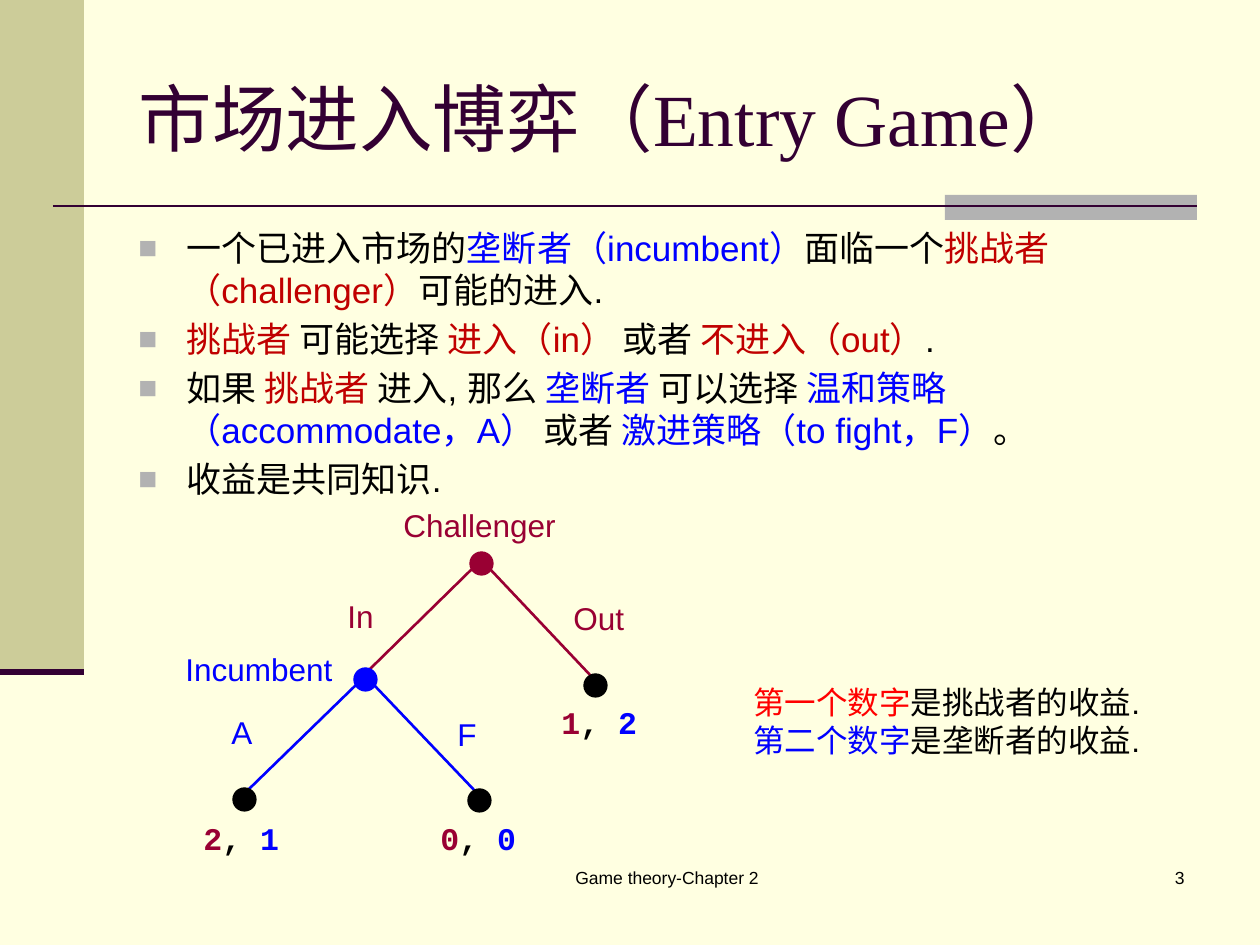
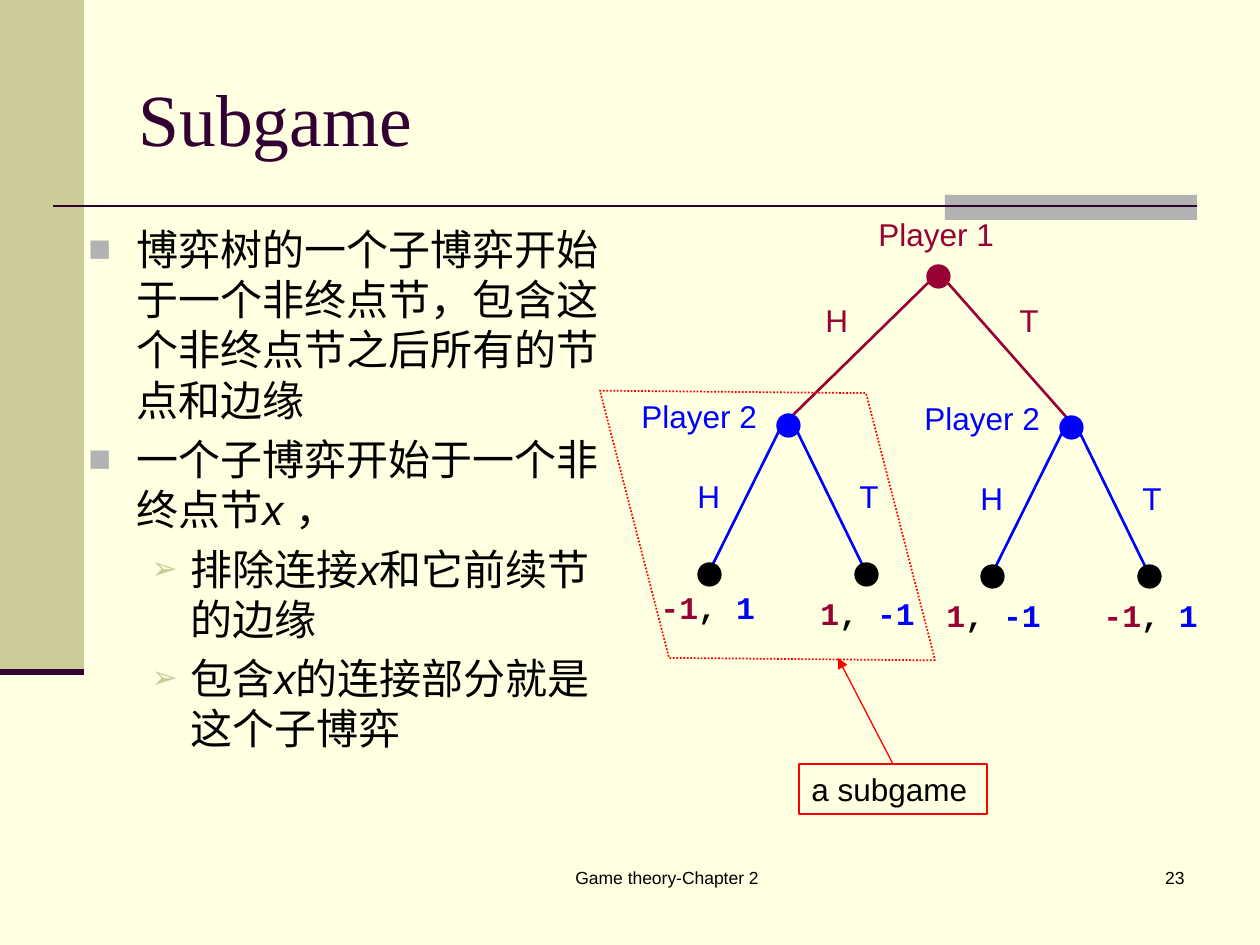
"""Build two slides on game trees: the entry game and the subgame."""
import pptx
import pptx.util
import pptx.dml.color
import pptx.enum.dml
import pptx.enum.shapes
import pptx.enum.text
import pptx.oxml.ns
from lxml import etree

SCALE = 914400 / 126
HUES = {
    "page": "FFFFE1", "sand": "CCCC99", "gray": "B2B2B2", "plum": "330033",
    "wine": "990033", "blue": "0000FF", "brick": "C00000", "red": "FF0000",
    "black": "000000",
}
BULLETS = [("■", "gray", 90, 48, 48), ("➢", "sand", 75, 102, 39)]
SHAPE = pptx.enum.shapes.MSO_SHAPE
ALIGN = pptx.enum.text.PP_ALIGN


def px(num):
    """Turn px into EMU."""
    return pptx.util.Emu(round(num * SCALE))


def hue(name):
    """Look up a colour by name."""
    return pptx.dml.color.RGBColor.from_string(HUES[name])


def tag(root, name, **attrs):
    """Append a drawing element with attributes."""
    return etree.SubElement(root, pptx.oxml.ns.qn("a:" + name), attrs)


def mark(para, level):
    """Give a paragraph the bullet of its level."""
    char, tone, size, left, hang = BULLETS[level]
    para.level = level
    props = para._p.get_or_add_pPr()
    props.set("marL", str(px(left)))
    props.set("indent", str(-px(hang)))
    tag(tag(props, "buClr"), "srgbClr", val=HUES[tone])
    tag(props, "buSzPct", val=str(size * 1000))
    tag(props, "buFont", typeface="Arial")
    tag(props, "buChar", char=char)


def fill_text(para, runs, size, font, bold):
    """Write runs of (text, colour, italic) into a paragraph."""
    for words, tone, *slant in runs:
        run = para.add_run()
        run.text = words
        run.font.size = pptx.util.Pt(size)
        run.font.name = font
        run.font.bold = bold
        run.font.italic = bool(slant)
        run.font.color.rgb = hue(tone)


def text(slide, at, paras, size=18, font="Arial", bold=False,
         align=ALIGN.LEFT, levels=None, gap=0):
    """Add a text box of paragraphs, with bullets if levels are given."""
    box = slide.shapes.add_textbox(*map(px, at))
    frame = box.text_frame
    frame.word_wrap = True
    for pos, runs in enumerate(paras):
        para = frame.add_paragraph() if pos else frame.paragraphs[0]
        if levels:
            mark(para, levels[pos])
        if pos:
            para.space_before = pptx.util.Pt(gap)
        para.alignment = align
        fill_text(para, runs, size, font, bold)
    return box


def label(slide, left, top, width, words, tone):
    """Add a one-line label."""
    return text(slide, (left, top, width, 50), [[(words, tone)]])


def pay(slide, left, top, first, second, width=122):
    """Add the payoffs of both players."""
    runs = [(first, "wine"), (", ", "black"), (second, "blue")]
    text(slide, (left, top, width, 50), [runs], font="Courier New", bold=True)


def solid(slide, kind, at, tone, edge=None):
    """Add a plain filled shape."""
    shape = slide.shapes.add_shape(kind, *map(px, at))
    shape.shadow.inherit = False
    shape.fill.solid()
    shape.fill.fore_color.rgb = hue(tone)
    if edge:
        shape.line.color.rgb = hue(tone)
        shape.line.width = pptx.util.Pt(edge)
    else:
        shape.line.fill.background()


def line(slide, start, end, tone, width=1.5):
    """Add a straight connector without a shadow."""
    kind = pptx.enum.shapes.MSO_CONNECTOR.STRAIGHT
    link = slide.shapes.add_connector(kind, *map(px, (*start, *end)))
    link.line.color.rgb = hue(tone)
    link.line.width = pptx.util.Pt(width)
    tag(link._element.spPr, "effectLst")
    return link


def dot(slide, spot, tone):
    """Add a tree node centred on a spot."""
    solid(slide, SHAPE.OVAL, (spot[0] - 11, spot[1] - 11, 23, 23), tone, 0.75)


def fork(slide, root, kids, tone):
    """Draw a node and its left and right branches."""
    for side, (x, y) in zip((-1, 1), kids):
        start = (root[0] + side * 9, root[1] + 6)
        line(slide, start, (x - side * 3, y - 8), tone)
    dot(slide, root, tone)


def page(deck, head, num):
    """Add a slide with its bands, title and footer."""
    slide = deck.slides.add_slide(deck.slide_layouts[5])
    solid(slide, SHAPE.RECTANGLE, (0, 0, 84, 672), "sand")
    solid(slide, SHAPE.RECTANGLE, (945, 195, 252, 25), "gray")
    line(slide, (53, 206), (1197, 206), "plum")
    line(slide, (0, 672), (84, 672), "plum", 3.5)
    text(slide, (462, 861, 410, 63), [[("Game theory-Chapter 2", "black")]],
         size=10, align=ALIGN.CENTER)
    text(slide, (935, 861, 262, 63), [[(str(num), "black")]],
         size=10, align=ALIGN.RIGHT)
    title = slide.shapes.title
    title.left, title.top, title.width, title.height = map(px, (126, 38, 1071, 158))
    frame = title.text_frame
    frame.auto_size = pptx.enum.text.MSO_AUTO_SIZE.NONE
    frame.vertical_anchor = pptx.enum.text.MSO_ANCHOR.MIDDLE
    frame.paragraphs[0].alignment = ALIGN.LEFT
    fill_text(frame.paragraphs[0], [(head, "plum")], 42, "Times New Roman", False)
    return slide


def entry(deck):
    """Build the entry game slide."""
    slide = page(deck, "市场进入博弈（Entry Game）", 3)
    text(slide, (126, 220, 1061, 251), [
        [("一个已进入市场的", "black"), ("垄断者（incumbent）", "blue"),
         ("面临一个", "black"), ("挑战者（challenger）", "brick"),
         ("可能的进入.", "black")],
        [("挑战者 ", "brick"), ("可能选择 ", "black"), ("进入（in） ", "brick"),
         ("或者 ", "black"), ("不进入（out）", "brick"), (".", "black")],
        [("如果 ", "black"), ("挑战者 ", "brick"), ("进入, 那么 ", "black"),
         ("垄断者 ", "blue"), ("可以选择", "black"),
         (" 温和策略（accommodate，A） ", "blue"), ("或者 ", "black"),
         ("激进策略（to fight，F）", "blue"), ("。", "black")],
        [("收益是共同知识.", "black")],
    ], size=20, levels=[0] * 4, gap=4)
    root, inner, out = (481, 563), (365, 679), (595, 685)
    ends = [(244, 799), (479, 800)]
    fork(slide, root, [inner, out], "wine")
    fork(slide, inner, ends, "blue")
    for spot in [out, *ends]:
        dot(slide, spot, "black")
    for left, top, width, words, tone in [
        (391, 500, 185, "Challenger", "wine"), (335, 591, 59, "In", "wine"),
        (561, 593, 79, "Out", "wine"), (173, 644, 174, "Incumbent", "blue"),
        (219, 707, 59, "A", "blue"), (445, 709, 52, "F", "blue"),
    ]:
        label(slide, left, top, width, words, tone)
    pay(slide, 549, 697, "1", "2", 106)
    pay(slide, 191, 813, "2", "1", 106)
    pay(slide, 428, 813, "0", "0", 106)
    text(slide, (741, 677, 418, 89), [[
        ("第一个数字", "red"), ("是挑战者的收益. ", "black"),
        ("第二个数字", "blue"), ("是垄断者的收益.", "black")]])


def branch(slide, left, top):
    """Draw the second player's part of the tree at a node."""
    ends = [(left - 79, top + 149), (left + 78, top + 149)]
    fork(slide, (left, top), ends, "blue")
    for spot in ends:
        dot(slide, spot, "black")
    label(slide, left - 159, top - 34, 147, "Player 2", "blue")
    label(slide, left - 103, top + 46, 59, "H", "blue")
    label(slide, left + 59, top + 46, 52, "T", "blue")


def subgame(deck):
    """Build the subgame slide."""
    slide = page(deck, "Subgame", 23)
    text(slide, (76, 217, 562, 624), [
        [("博弈树的一个子博弈开始于一个非终点节，包含这个非终点节之后所有的节点和边缘", "black")],
        [("一个子博弈开始于一个非终点节", "black"), ("x", "black", True), (" ，", "black")],
        [("排除连接", "black"), ("x", "black", True), ("和它前续节的边缘", "black")],
        [("包含", "black"), ("x", "black", True), ("的连接部分就是这个子博弈", "black")],
    ], size=24, levels=[0, 0, 1, 1], gap=5)
    kids = [(788, 425), (1071, 427)]
    fork(slide, (938, 276), kids, "wine")
    for spot in kids:
        branch(slide, *spot)
    label(slide, 866, 209, 151, "Player 1", "wine")
    label(slide, 813, 295, 59, "H", "wine")
    label(slide, 1007, 295, 59, "T", "wine")
    pay(slide, 648, 582, "-1", "1")
    pay(slide, 808, 588, "1", "-1")
    pay(slide, 934, 590, "1", "-1")
    pay(slide, 1091, 590, "-1", "1")
    area = slide.shapes.add_shape(SHAPE.FLOWCHART_DATA, *map(px, (595, 397, 345, 257)))
    area.rotation = 255.5
    area.shadow.inherit = False
    area.fill.background()
    area.line.color.rgb = hue("red")
    area.line.width = pptx.util.Pt(1)
    area.line.dash_style = pptx.enum.dml.MSO_LINE.ROUND_DOT
    note = label(slide, 799, 764, 188, "a subgame", "black")
    note.line.color.rgb = hue("red")
    note.line.width = pptx.util.Pt(0.75)
    arrow = line(slide, (893, 764), (838, 658), "red", 0.75)
    arrow.begin_connect(note, 0)
    tag(arrow.line._get_or_add_ln(), "tailEnd", type="triangle")


def main():
    """Make the deck and save it."""
    deck = pptx.Presentation()
    deck.slide_width, deck.slide_height = px(1260), px(945)
    back = deck.slide_master.background.fill
    back.solid()
    back.fore_color.rgb = hue("page")
    entry(deck)
    subgame(deck)
    deck.save("out.pptx")


if __name__ == "__main__":
    main()
